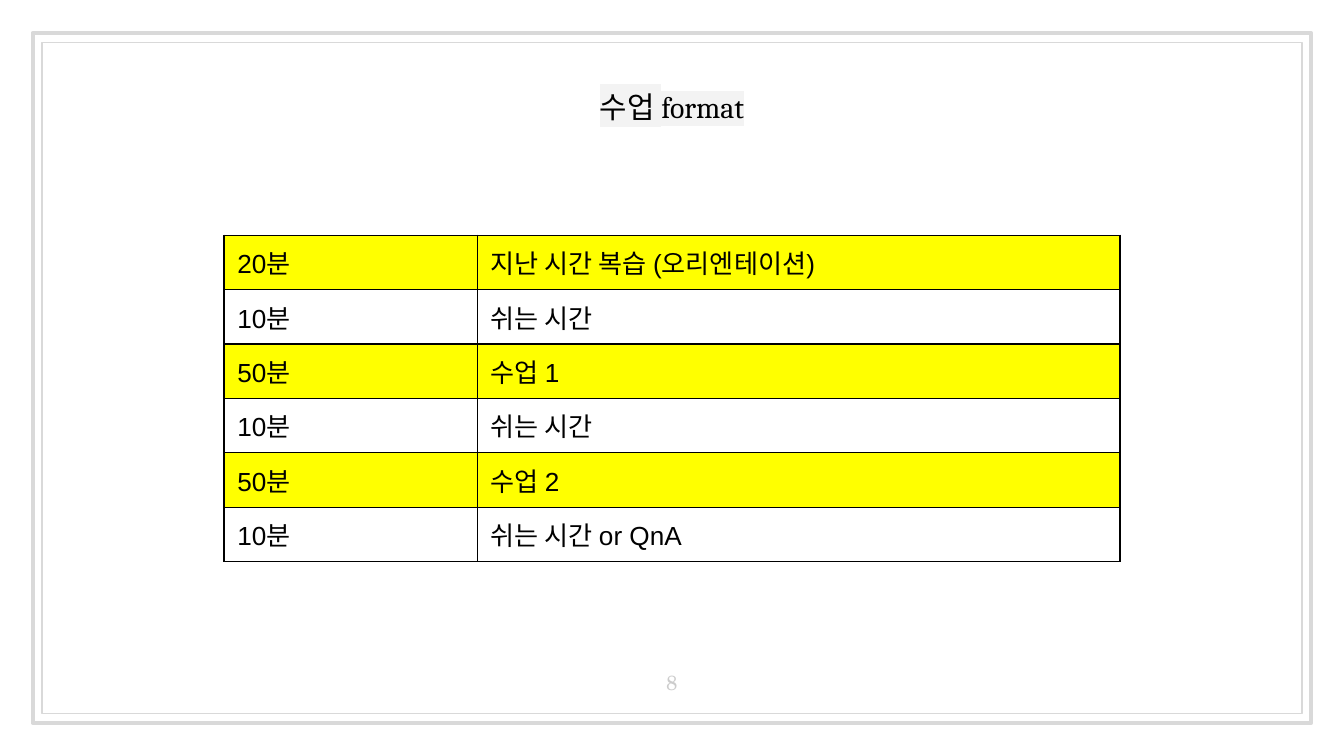
from lxml import etree
from pptx import Presentation
from pptx.dml.color import RGBColor
from pptx.enum.shapes import MSO_SHAPE
from pptx.enum.text import MSO_ANCHOR, PP_ALIGN
from pptx.oxml.ns import qn
from pptx.util import Pt

RECTANGLE = MSO_SHAPE.RECTANGLE
MIDDLE, BOTTOM = MSO_ANCHOR.MIDDLE, MSO_ANCHOR.BOTTOM
LEFT, CENTER = PP_ALIGN.LEFT, PP_ALIGN.CENTER

BLACK = RGBColor(0x00, 0x00, 0x00)
YELLOW = RGBColor(0xFF, 0xFF, 0x00)
FRAME_GRAY = RGBColor(0xD9, 0xD9, 0xD9)
NUMBER_GRAY = RGBColor(0xCC, 0xCC, 0xCC)
HIGHLIGHT_GRAY = RGBColor(0xF3, 0xF3, 0xF3)

INSET = Pt(7.2)
ROW_HEIGHT = 29.16
SCHEDULE = [
    ("20분", "지난 시간 복습 (오리엔테이션)"),
    ("10분", "쉬는 시간"),
    ("50분", "수업 1"),
    ("10분", "쉬는 시간"),
    ("50분", "수업 2"),
    ("10분", "쉬는 시간 or QnA"),
]


def apply(target, values):
    for name, value in values.items():
        setattr(target, name, value)


def add_color(parent, color):
    etree.SubElement(parent, qn("a:srgbClr"), val=str(color))


class SlideBuilder:
    def __init__(self, slide):
        self.slide = slide
        self.frame_style = {
            "word_wrap": True,
            "margin_left": INSET,
            "margin_right": INSET,
            "margin_top": INSET,
            "margin_bottom": INSET,
        }

    def add_text(self, text_frame, text, font, size, color, align):
        paragraph = text_frame.paragraphs[0]
        paragraph.alignment = align
        run = paragraph.add_run()
        run.text = text
        apply(run.font, {"name": font, "size": Pt(size), "bold": False})
        run.font.color.rgb = color
        return run

    def border(self, inset, width, height, weight):
        frame = self.slide.shapes.add_shape(
            RECTANGLE, Pt(inset), Pt(inset + 0.25), Pt(width), Pt(height))
        frame.shadow.inherit = False
        frame.fill.background()
        frame.line.color.rgb = FRAME_GRAY
        frame.line.width = Pt(weight)

    def title(self, text, left, top, width, height):
        heading = self.slide.shapes.title
        apply(heading, {"left": Pt(left), "top": Pt(top),
                        "width": Pt(width), "height": Pt(height)})
        apply(heading.text_frame, {**self.frame_style, "vertical_anchor": MIDDLE})
        run = self.add_text(heading.text_frame, text, "Cambria", 16, BLACK, CENTER)
        highlight = etree.Element(qn("a:highlight"))
        add_color(highlight, HIGHLIGHT_GRAY)
        run._r.rPr.find(qn("a:solidFill")).addnext(highlight)

    def page_number(self, text, left, top, width, height):
        number = self.slide.shapes.add_textbox(
            Pt(left), Pt(top), Pt(width), Pt(height))
        apply(number.text_frame, {**self.frame_style, "vertical_anchor": BOTTOM})
        self.add_text(number.text_frame, text, "TeX Gyre Schola", 11, NUMBER_GRAY, CENTER)

    def cell(self, cell, text, fill):
        apply(cell, {"vertical_anchor": MIDDLE, "margin_left": INSET,
                     "margin_right": INSET, "margin_top": Pt(3.6),
                     "margin_bottom": Pt(3.6)})
        self.add_text(cell.text_frame, text, "Arial", 14, BLACK, LEFT)
        properties = cell._tc.get_or_add_tcPr()
        for side in ("a:lnL", "a:lnR", "a:lnT", "a:lnB"):
            line = etree.SubElement(properties, qn(side), w=str(int(Pt(0.75))))
            add_color(etree.SubElement(line, qn("a:solidFill")), BLACK)
        if fill is None:
            cell.fill.background()
        else:
            cell.fill.solid()
            cell.fill.fore_color.rgb = fill

    def table(self, rows, left, top, column_widths):
        table = self.slide.shapes.add_table(
            len(rows), len(column_widths), Pt(left), Pt(top),
            Pt(sum(column_widths)), Pt(ROW_HEIGHT * len(rows))).table
        apply(table, {"first_row": False, "horz_banding": False})
        for column, width in zip(table.columns, column_widths):
            column.width = Pt(width)
        for row_index, texts in enumerate(rows):
            table.rows[row_index].height = Pt(ROW_HEIGHT)
            fill = YELLOW if row_index % 2 == 0 else None
            for column_index, text in enumerate(texts):
                self.cell(table.cell(row_index, column_index), text, fill)


def main():
    deck = Presentation()
    apply(deck, {"slide_width": Pt(720), "slide_height": Pt(405)})
    builder = SlideBuilder(deck.slides.add_slide(deck.slide_layouts[5]))
    builder.border(17.5, 685, 369.5, 2.25)
    builder.border(22.5, 675, 359.5, 0.75)
    builder.title("수업 format", 30.75, 27, 658.5, 60)
    builder.page_number("8", 338.4, 347.75, 43.2, 31)
    builder.table(SCHEDULE, 120, 126, (135.75, 344.25))
    deck.save("out.pptx")


if __name__ == "__main__":
    main()
